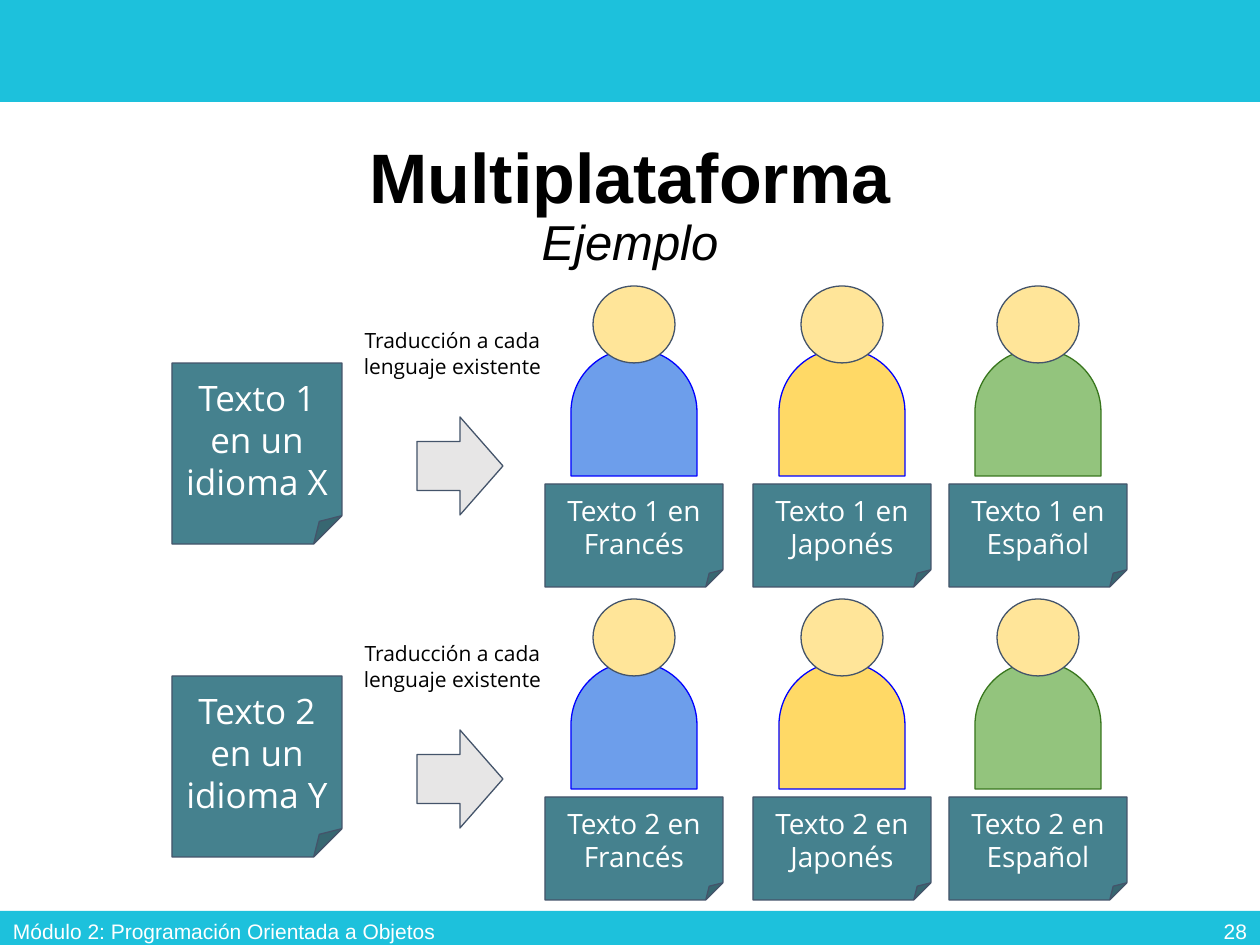
from pptx import Presentation
from pptx.dml.color import RGBColor
from pptx.enum.shapes import MSO_SHAPE as Shape
from pptx.enum.text import MSO_ANCHOR as Anchor, PP_ALIGN as Align
from pptx.util import Emu, Pt

SCALE = 914400 / 126  # EMU per px
COLORS = {
    "band": "1DC1DC", "note": "45818E", "outline": "44546A", "head": "FFE599",
    "arrow": "E7E6E6", "blue": "6D9EEB", "yellow": "FFD966", "green": "93C47D",
    "blue line": "0000FF", "green line": "38761D", "white": "FFFFFF", "black": "000000",
}

presentation = Presentation()
presentation.slide_width = Emu(round(1260 * SCALE))
presentation.slide_height = Emu(round(945 * SCALE))
slide = presentation.slides.add_slide(presentation.slide_layouts[6])


def add_shape(kind, box, fill, line=None):
    shape = slide.shapes.add_shape(kind, *[Emu(round(px * SCALE)) for px in box])
    shape.shadow.inherit = False
    shape.fill.solid()
    shape.fill.fore_color.rgb = RGBColor.from_string(COLORS[fill])
    if line:
        shape.line.color.rgb = RGBColor.from_string(COLORS[line])
        shape.line.width = Pt(0.75)
    else:
        shape.line.fill.background()
    return shape


def write_text(text, size, color, font="Open Sans", align=Align.CENTER,
               anchor=Anchor.MIDDLE, margin=13, shape=None, box=None):
    if shape is None:
        shape = slide.shapes.add_textbox(*[Emu(round(px * SCALE)) for px in box])
    frame = shape.text_frame
    frame.word_wrap = True
    frame.vertical_anchor = anchor
    frame.margin_left = frame.margin_right = Emu(round(13 * SCALE))
    frame.margin_top = frame.margin_bottom = Emu(round(margin * SCALE))
    paragraph = frame.paragraphs[0]
    paragraph.text = text
    paragraph.alignment = align
    paragraph.font.name = font
    paragraph.font.size = Pt(size)
    paragraph.font.color.rgb = RGBColor.from_string(COLORS[color])
    return paragraph


# Top and bottom bands
add_shape(Shape.RECTANGLE, (0, 0, 1260, 102), "band")
add_shape(Shape.RECTANGLE, (0, 911, 1260, 39), "band")

# Title and subtitle
title = write_text("Multiplataforma\vEjemplo", 40, "black", "Arial",
                   margin=6, box=(87, 123, 1086, 168))
title.line_spacing = 0.9
heading, subtitle = title.runs
heading.font.bold = True
subtitle.font.size = Pt(28)
subtitle.font.italic = True

# Footer
write_text("Módulo 2: Programación Orientada a Objetos", 12, "white", "Arial",
           Align.LEFT, margin=6, box=(0, 906, 461, 50))
write_text("28", 12, "white", "Arial", Align.RIGHT, margin=6, box=(977, 906, 283, 50))

# Readers: left edge, language, body fill, body outline
readers = [
    (571, "Francés", "blue", "blue line"),
    (779, "Japonés", "yellow", "blue line"),
    (975, "Español", "green", "green line"),
]
ROW_PITCH = 313

# One row per text: source note, arrow, translated notes
for row, source_language in enumerate("XY"):
    down = row * ROW_PITCH
    text_name = f"Texto {row + 1}"

    for left, language, fill, line in readers:
        body = add_shape(Shape.ROUND_2_SAME_RECTANGLE, (left, 349 + down, 126, 127), fill, line)
        body.adjustments[0] = 0.5
        add_shape(Shape.OVAL, (left + 22, 286 + down, 82, 77), "head", "outline")
        note = add_shape(Shape.FOLDED_CORNER, (left - 26, 484 + down, 178, 103),
                         "note", "outline")
        write_text(f"{text_name} en {language}", 16, "white", shape=note)

    source_note = add_shape(Shape.FOLDED_CORNER, (172, 363 + down, 170, 181),
                            "note", "outline")
    write_text(f"{text_name} en un idioma {source_language}", 20, "white", shape=source_note)
    add_shape(Shape.RIGHT_ARROW, (417, 417 + down, 86, 98), "arrow", "outline")
    write_text("Traducción a cada lenguaje existente", 12, "black",
               anchor=Anchor.TOP, box=(350, 315 + down, 205, 103))

presentation.save("out.pptx")
